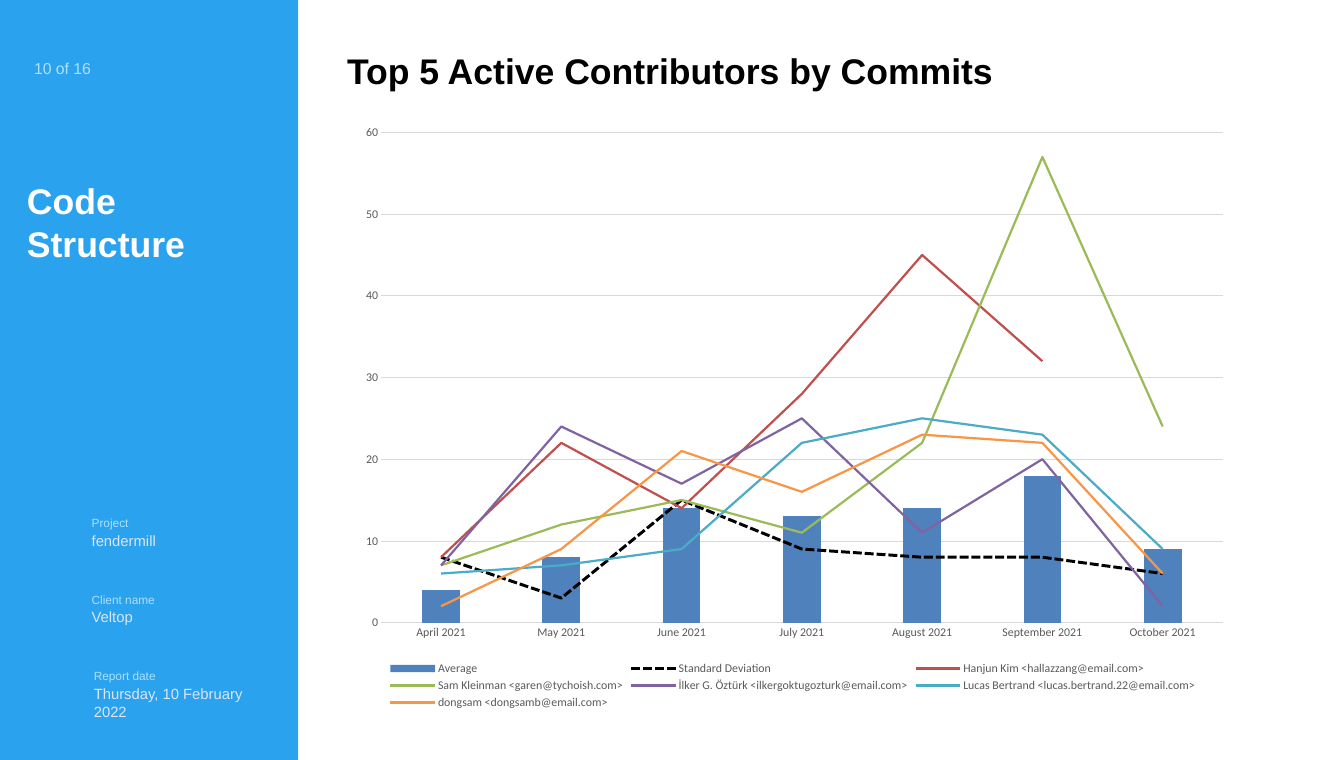
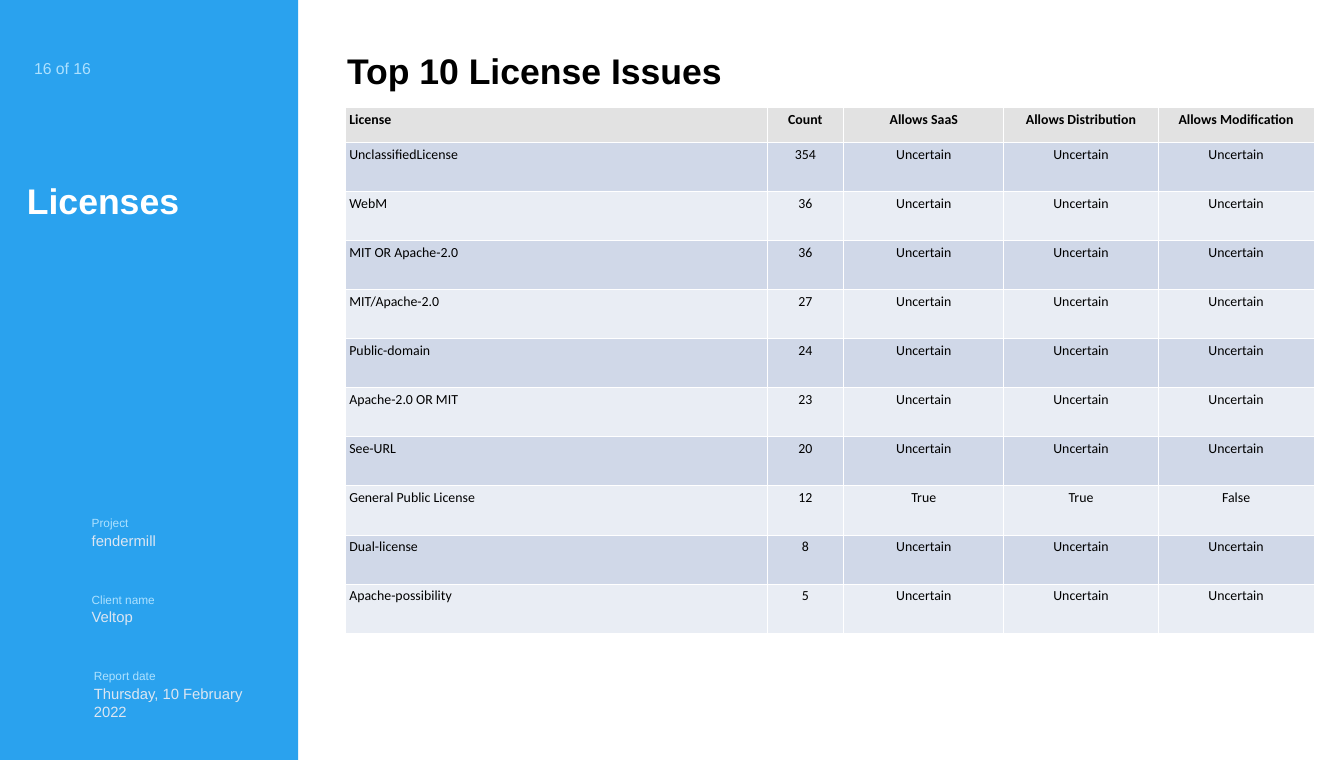
from lxml import etree
from pptx import Presentation
from pptx.chart.data import CategoryChartData
from pptx.dml.color import RGBColor
from pptx.enum.chart import XL_CHART_TYPE, XL_LEGEND_POSITION, XL_MARKER_STYLE, XL_TICK_MARK
from pptx.enum.dml import MSO_LINE
from pptx.enum.shapes import MSO_SHAPE
from pptx.enum.text import PP_ALIGN
from pptx.oxml import parse_xml
from pptx.oxml.ns import nsdecls, qn
from pptx.util import Inches, Pt

COLUMN = XL_CHART_TYPE.COLUMN_CLUSTERED
BOTTOM = XL_LEGEND_POSITION.BOTTOM
NO_MARK = XL_MARKER_STYLE.NONE
NO_TICK = XL_TICK_MARK.NONE
DASH = MSO_LINE.SQUARE_DOT
RECT = MSO_SHAPE.RECTANGLE
LEFT, CENTER = PP_ALIGN.LEFT, PP_ALIGN.CENTER

BLUE = RGBColor(0x2A, 0xA2, 0xEE)
SKY = RGBColor(0xAD, 0xE1, 0xFF)
PALE = RGBColor(0xDC, 0xE6, 0xF2)
WHITE = RGBColor(0xFF, 0xFF, 0xFF)
BLACK = RGBColor(0, 0, 0)
GREY = RGBColor(0x59, 0x59, 0x59)
RULE = RGBColor(0xD9, 0xD9, 0xD9)
HEAD = RGBColor(0xE2, 0xE2, 0xE2)
STRIPES = RGBColor(0xD0, 0xD8, 0xE8), RGBColor(0xE9, 0xED, 0xF4)
STEEL = RGBColor(0x4F, 0x81, 0xBD)
RED = RGBColor(0xC0, 0x50, 0x4D)
GREEN = RGBColor(0x9B, 0xBB, 0x59)
PURPLE = RGBColor(0x80, 0x64, 0xA2)
TEAL = RGBColor(0x4B, 0xAC, 0xC6)
ORANGE = RGBColor(0xF7, 0x96, 0x46)

SANS, BODY = "Arial", "Calibri"
WIDE, HIGH = 18.89, 10.68
BAND = 4.19
PAGES = 16

# label, value, left edge
FACTS = [
    ("Project", "fendermill", 1.19),
    ("Client name", "Veltop", 1.19),
    ("Report date", "Thursday, 10 February 2022", 1.22),
]

MONTHS = [f"{month} 2021" for month in
          ("April", "May", "June", "July", "August", "September", "October")]
# name, values, colour; the first is drawn as columns, the rest as lines
SERIES = [
    ("Average", (4, 8, 14, 13, 14, 18, 9), STEEL),
    ("Standard Deviation", (8, 3, 15, 9, 8, 8, 6), BLACK),
    ("Hanjun Kim <hallazzang@email.com>", (8, 22, 14, 28, 45, 32, None), RED),
    ("Sam Kleinman <garen@tychoish.com>", (7, 12, 15, 11, 22, 57, 24), GREEN),
    ("İlker G. Öztürk <ilkergoktugozturk@email.com>", (7, 24, 17, 25, 11, 20, 2), PURPLE),
    ("Lucas Bertrand <lucas.bertrand.22@email.com>", (6, 7, 9, 22, 25, 23, 9), TEAL),
    ("dongsam <dongsamb@email.com>", (2, 9, 21, 16, 23, 22, 6), ORANGE),
]

COLS = [("License", 5.92), ("Count", 1.08), ("Allows SaaS", 2.25),
        ("Allows Distribution", 2.17), ("Allows Modification", 2.19)]
UNSURE = ("Uncertain",) * 3
ISSUES = [
    ("UnclassifiedLicense", 354, *UNSURE),
    ("WebM", 36, *UNSURE),
    ("MIT OR Apache-2.0", 36, *UNSURE),
    ("MIT/Apache-2.0", 27, *UNSURE),
    ("Public-domain", 24, *UNSURE),
    ("Apache-2.0 OR MIT", 23, *UNSURE),
    ("See-URL", 20, *UNSURE),
    ("General Public License", 12, "True", "True", "False"),
    ("Dual-license", 8, *UNSURE),
    ("Apache-possibility", 5, *UNSURE),
]


def style(font, size, color, bold=False, name=SANS):
    font.size, font.bold, font.name = Pt(size), bold, name
    font.color.rgb = color


def write(slide, text, box, size, color, bold=False, space=None):
    frame = slide.shapes.add_textbox(*map(Inches, box)).text_frame
    frame.word_wrap = True
    frame.text = text
    line = frame.paragraphs[0]
    line.line_spacing = space
    style(line.runs[0].font, size, color, bold)


def add_page(deck, page, topic, title):
    """Add a slide with the side band, its facts, and the title."""
    slide = deck.slides.add_slide(deck.slide_layouts[6])
    band = slide.shapes.add_shape(RECT, 0, 0, Inches(BAND), Inches(HIGH))
    band.shadow.inherit = False
    band.fill.solid()
    band.fill.fore_color.rgb = BLUE
    band.line.fill.background()
    for i, (label, value, left) in enumerate(FACTS):
        top = 7.2 + 1.075 * i
        write(slide, label, (left, top, 1.97, 0.3), 12, SKY)
        write(slide, value, (left, top + 0.22, 2.5, 0.35), 15, PALE)
    write(slide, f"{page} of {PAGES}", (0.38, 0.77, 1.97, 0.37), 16, SKY)
    write(slide, topic, (0.28, 2.47, 3.35, 0.71), 36, WHITE, True)
    write(slide, title, (4.78, 0.34, 10.83, 0.9), 36, BLACK, True, 1.5)
    return slide


def split_lines(chart):
    """Move every series but the first into a line plot on the same axes."""
    bars = chart.plots[0]._element
    lines = parse_xml(f'<c:lineChart {nsdecls("c")}><c:grouping val="standard"/>'
                      '<c:varyColors val="0"/></c:lineChart>')
    for ser in bars.findall(qn("c:ser"))[1:]:
        for flag in ser.findall(qn("c:invertIfNegative")):
            ser.remove(flag)
        lines.append(ser)
    etree.SubElement(lines, qn("c:marker")).set("val", "1")
    for axis in bars.findall(qn("c:axId")):
        etree.SubElement(lines, qn("c:axId")).set("val", axis.get("val"))
    bars.addnext(lines)


def place_plot(chart, **share):
    """Fix the inner plot area, in shares of the chart's size."""
    area = chart.plots[0]._element.getparent()
    for old in area.findall(qn("c:layout")):
        area.remove(old)
    parts = "".join(f'<c:{key} val="{val}"/>' for key, val in share.items())
    area.insert(0, parse_xml(
        f'<c:layout {nsdecls("c")}><c:manualLayout><c:layoutTarget val="inner"/>'
        '<c:xMode val="edge"/><c:yMode val="edge"/>'
        f'{parts}</c:manualLayout></c:layout>'))


def draw_chart(slide):
    data = CategoryChartData()
    data.categories = MONTHS
    for name, vals, _ in SERIES:
        data.add_series(name, vals)
    box = map(Inches, (4.85, 1.61, 12.59, 8.4))
    chart = slide.shapes.add_chart(COLUMN, *box, data).chart
    split_lines(chart)
    place_plot(chart, x=0.04, y=0.03, w=0.94, h=0.82)
    style(chart.font, 12, GREY, name=BODY)
    chart.has_title = False
    chart.has_legend = True
    chart.legend.position = BOTTOM
    chart.legend.include_in_layout = False
    style(chart.legend.font, 12, GREY, name=BODY)

    months, commits = chart.category_axis, chart.value_axis
    for axis in (months, commits):
        axis.major_tick_mark = axis.minor_tick_mark = NO_TICK
        style(axis.tick_labels.font, 12, GREY, name=BODY)
    commits.minimum_scale, commits.maximum_scale, commits.major_unit = 0, 60, 10
    commits.format.line.fill.background()
    for rule in (months.format.line, commits.major_gridlines.format.line):
        rule.color.rgb, rule.width = RULE, Pt(0.75)

    bars, lines = chart.plots
    bars.gap_width = 219
    bars.vary_by_categories = False
    fill = bars.series[0].format.fill
    fill.solid()
    fill.fore_color.rgb = SERIES[0][2]
    for ser, (_, _, color) in zip(lines.series, SERIES[1:]):
        ser.smooth = False
        ser.marker.style = NO_MARK
        ser.format.line.color.rgb = color
        ser.format.line.width = Pt(2.25)
    spread = lines.series[0].format.line
    spread.width, spread.dash_style = Pt(3), DASH


def edge(cell):
    """Give a cell thin white borders on all four sides."""
    props = cell._tc.get_or_add_tcPr()
    for side in "LRTB":
        props.append(parse_xml(
            f'<a:ln{side} {nsdecls("a")} w="12700"><a:solidFill>'
            f'<a:srgbClr val="{WHITE}"/></a:solidFill></a:ln{side}>'))


def draw_table(slide):
    rows = [[name for name, _ in COLS], *ISSUES]
    tall = [0.49] + [0.69] * len(ISSUES)
    wide = [width for _, width in COLS]
    box = map(Inches, (4.86, 1.51, sum(wide), sum(tall)))
    table = slide.shapes.add_table(len(rows), len(COLS), *box).table
    for col, width in zip(table.columns, wide):
        col.width = Inches(width)
    for r, row in enumerate(rows):
        table.rows[r].height = Inches(tall[r])
        for c, text in enumerate(row):
            cell = table.cell(r, c)
            cell.margin_left = cell.margin_right = Inches(0.05)
            cell.margin_top = cell.margin_bottom = Inches(0.05)
            edge(cell)
            cell.fill.solid()
            cell.fill.fore_color.rgb = STRIPES[(r - 1) % 2] if r else HEAD
            cell.text_frame.text = str(text)
            line = cell.text_frame.paragraphs[0]
            line.alignment = CENTER if c else LEFT
            style(line.runs[0].font, 14, BLACK, r == 0, BODY)


def main():
    deck = Presentation()
    deck.slide_width, deck.slide_height = Inches(WIDE), Inches(HIGH)
    draw_chart(add_page(deck, 10, "Code Structure", "Top 5 Active Contributors by Commits"))
    draw_table(add_page(deck, 16, "Licenses", "Top 10 License Issues"))
    deck.save("out.pptx")


if __name__ == "__main__":
    main()
